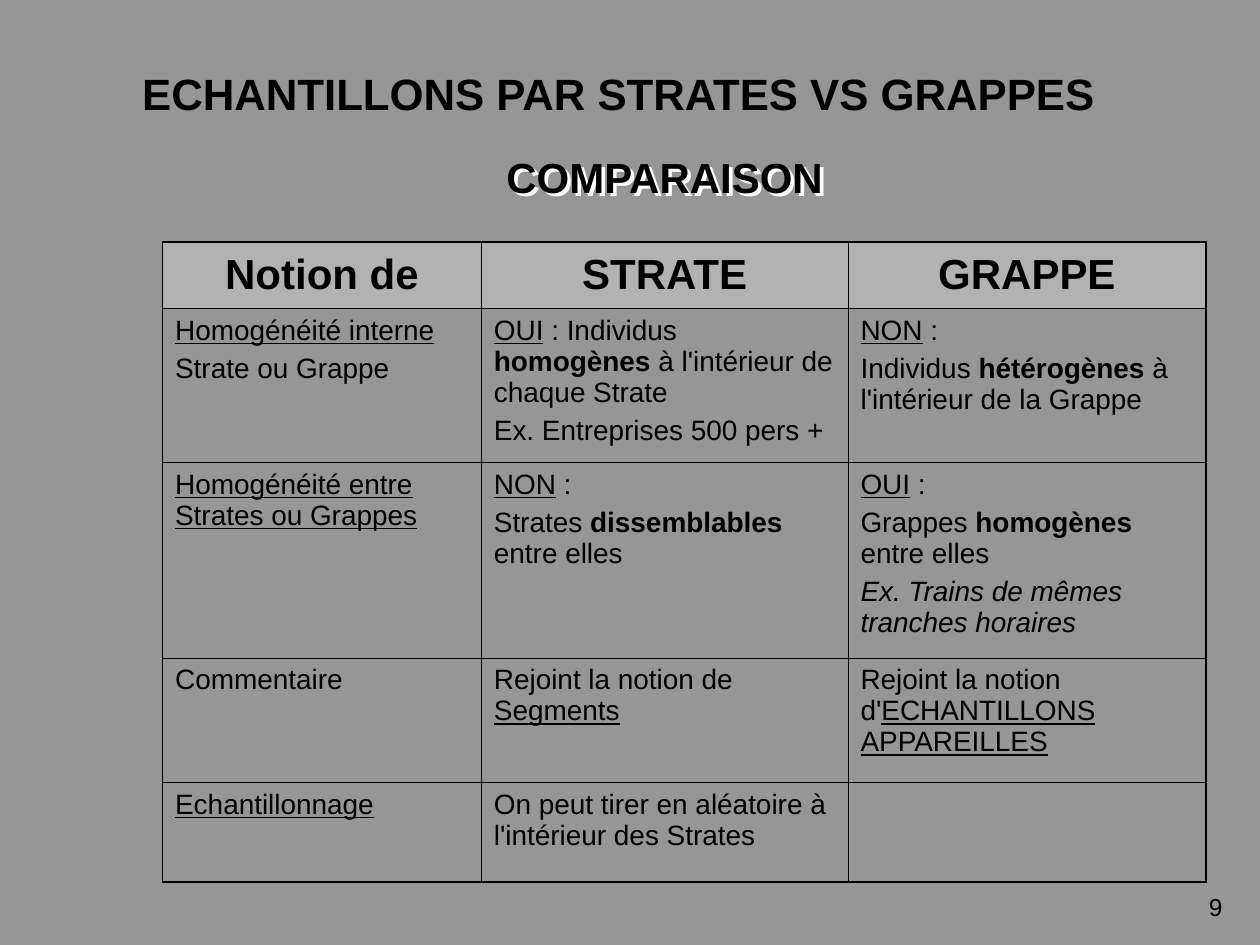
from dataclasses import dataclass

from lxml.etree import SubElement
from pptx import Presentation
from pptx.dml.color import RGBColor
from pptx.enum.text import MSO_ANCHOR as Anchor, PP_ALIGN as Align
from pptx.oxml.ns import qn
from pptx.util import Inches, Pt


@dataclass(frozen=True)
class Theme:
    font: str = "Arial"
    background: str = "969696"
    header_fill: str = "B2B2B2"
    ink: str = "000000"
    shadow: str = "FFFFFF"
    title_size: int = 25
    heading_size: int = 24
    body_size: int = 16
    number_size: int = 14
    outer_line: float = 1.08
    inner_line: float = 0.45


THEME = Theme()

# Table content: a cell is a list of paragraphs, a paragraph a list of runs.
# A run is plain text or a (text, style) pair.
UNDERLINE, BOLD, ITALIC = "underline", "bold", "italic"
YES, NO = ("OUI", UNDERLINE), ("NON", UNDERLINE)
HEADERS = ["Notion de", "STRATE", "GRAPPE"]
BODY_ROWS = [
    [
        [[("Homogénéité interne", UNDERLINE)], ["Strate ou Grappe"]],
        [[YES, " : Individus ", ("homogènes", BOLD), " à l'intérieur de chaque Strate"],
         ["Ex. Entreprises 500 pers +"]],
        [[NO, " :"],
         ["Individus ", ("hétérogènes", BOLD), " à l'intérieur de la Grappe"]],
    ],
    [
        [[("Homogénéité entre Strates ou Grappes", UNDERLINE)]],
        [[NO, " :"], ["Strates ", ("dissemblables", BOLD), " entre elles"]],
        [[YES, " :"], ["Grappes ", ("homogènes", BOLD), " entre elles"],
         [("Ex. Trains de mêmes tranches horaires", ITALIC)]],
    ],
    [
        [["Commentaire"]],
        [["Rejoint la notion de ", ("Segments", UNDERLINE)]],
        [["Rejoint la notion d'", ("ECHANTILLONS APPAREILLES", UNDERLINE)]],
    ],
    [
        [[("Echantillonnage", UNDERLINE)]],
        [["On peut tirer en aléatoire à l'intérieur des Strates"]],
        [[]],
    ],
]
COLUMN_WIDTHS = [2.53, 2.91, 2.84]
ROW_HEIGHTS = [0.53, 1.22, 1.55, 0.99, 0.79]


def write_paragraphs(frame, paragraphs, size, align=Align.LEFT, bold=False):
    for index, runs in enumerate(paragraphs):
        paragraph = frame.paragraphs[0] if index == 0 else frame.add_paragraph()
        paragraph.alignment = align
        paragraph.space_before = Pt(4 if index else 0)
        paragraph.font.size = Pt(size)
        for item in runs:
            text, style = (item, None) if isinstance(item, str) else item
            run = paragraph.add_run()
            run.text = text
            formats = {"name": THEME.font, "size": Pt(size), "bold": bold}
            if style:
                formats[style] = True
            for name, value in formats.items():
                setattr(run.font, name, value)
            run.font.color.rgb = RGBColor.from_string(THEME.ink)


def add_text(slide, text, box, size, wrap=True, **options):
    shape = slide.shapes.add_textbox(*map(Inches, box))
    shape.text_frame.word_wrap = wrap
    write_paragraphs(shape.text_frame, [[text]], size, **options)
    return shape


def add_shadow(shape):
    effects = SubElement(shape.element.spPr, qn("a:effectLst"))
    shadow = SubElement(effects, qn("a:outerShdw"), dist=str(Inches(0.04)),
                        dir="2700000", algn="ctr", rotWithShape="0")
    SubElement(shadow, qn("a:srgbClr"), val=THEME.shadow)


def set_borders(cell, outer_sides):
    properties = cell._tc.get_or_add_tcPr()
    for index, side in enumerate("LRTB"):
        width = THEME.outer_line if side in outer_sides else THEME.inner_line
        line = properties.makeelement(qn(f"a:ln{side}"), {"w": str(Pt(width))})
        fill = SubElement(line, qn("a:solidFill"))
        SubElement(fill, qn("a:srgbClr"), val=THEME.ink)
        properties.insert(index, line)


def add_comparison_table(slide):
    row_count, column_count = len(ROW_HEIGHTS), len(COLUMN_WIDTHS)
    table = slide.shapes.add_table(
        row_count, column_count, Inches(1.29), Inches(1.92),
        Inches(sum(COLUMN_WIDTHS)), Inches(sum(ROW_HEIGHTS))).table
    table.first_row = table.horz_banding = False
    for column, width in zip(table.columns, COLUMN_WIDTHS):
        column.width = Inches(width)
    for row, height in zip(table.rows, ROW_HEIGHTS):
        row.height = Inches(height)

    rows = [[[[header]] for header in HEADERS]] + BODY_ROWS
    for r, cells in enumerate(rows):
        for c, paragraphs in enumerate(cells):
            cell = table.cell(r, c)
            if r == 0:
                cell.fill.solid()
                cell.fill.fore_color.rgb = RGBColor.from_string(THEME.header_fill)
                cell.vertical_anchor = Anchor.MIDDLE
                write_paragraphs(cell.text_frame, paragraphs, THEME.heading_size,
                                 Align.CENTER, bold=True)
            else:
                cell.fill.background()
                write_paragraphs(cell.text_frame, paragraphs, THEME.body_size)
            edges = {"L": c == 0, "R": c == column_count - 1,
                     "T": r == 0, "B": r == row_count - 1}
            set_borders(cell, [side for side, outer in edges.items() if outer])


def main():
    presentation = Presentation()
    presentation.slide_width, presentation.slide_height = Inches(10), Inches(7.5)
    slide = presentation.slides.add_slide(presentation.slide_layouts[6])
    background = slide.background.fill
    background.solid()
    background.fore_color.rgb = RGBColor.from_string(THEME.background)

    # Headings
    add_text(slide, "ECHANTILLONS PAR STRATES VS GRAPPES", (1.03, 0.48, 8.79, 0.52),
             THEME.title_size, bold=True)
    subtitle = add_text(slide, "COMPARAISON", (3.92, 1.15, 2.73, 0.5),
                        THEME.heading_size, wrap=False, bold=True)
    add_shadow(subtitle)

    # Comparison table
    add_comparison_table(slide)

    # Slide number
    add_text(slide, "9", (7.47, 7.03, 2.33, 0.52), THEME.number_size, align=Align.RIGHT)

    presentation.save("out.pptx")


if __name__ == "__main__":
    main()
